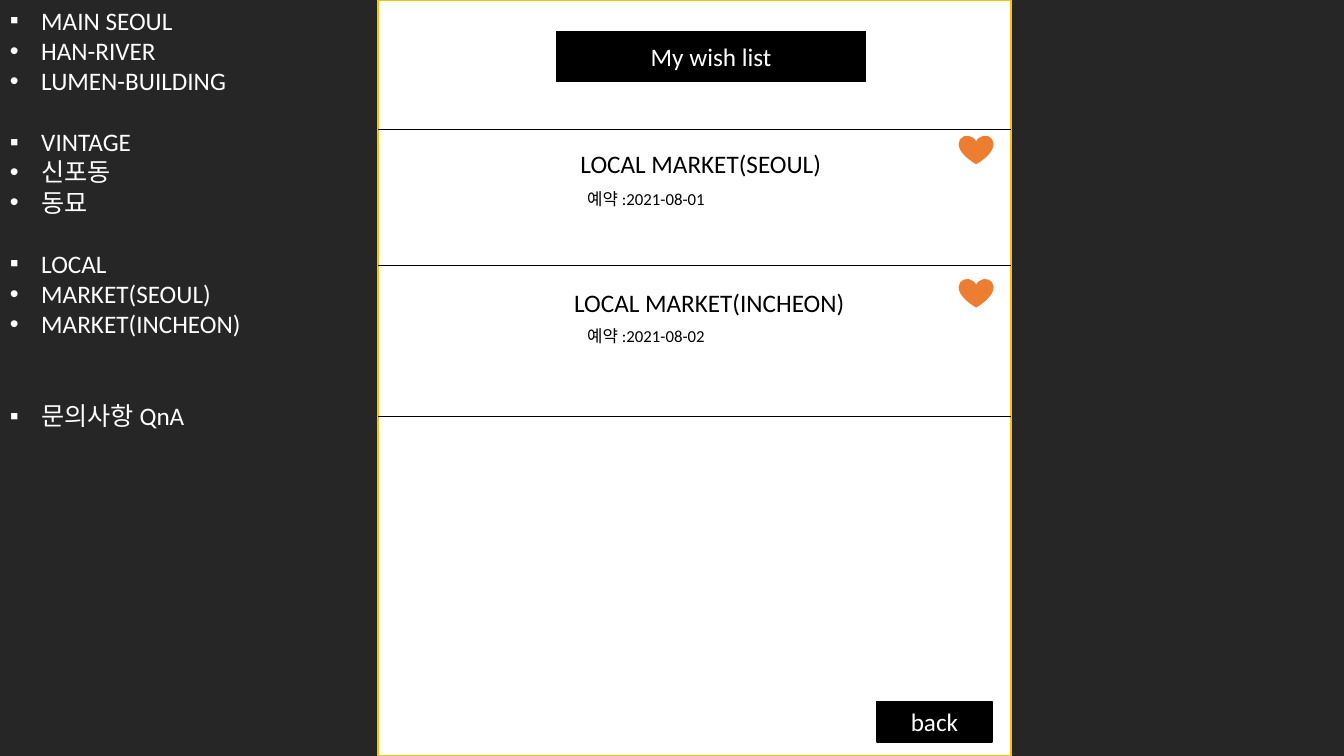
import pptx
import pptx.util
import pptx.dml.color
import pptx.enum.shapes
import pptx.enum.text
from lxml import etree
from pptx.util import Cm
from pptx.dml.color import RGBColor
from pptx.oxml.ns import qn

DARK = RGBColor(0x26, 0x26, 0x26)
WHITE = RGBColor(0xFF, 0xFF, 0xFF)
BLACK = RGBColor(0x00, 0x00, 0x00)
GOLD = RGBColor(0xFF, 0xC0, 0x00)
ORANGE = RGBColor(0xED, 0x7D, 0x31)

PANEL_LEFT, PANEL_WIDTH, PANEL_HEIGHT = 9.53, 15.95, 19.05
INDENT = Cm(0.79)

# Each menu group: gap above in points, heading, entries
MENU = [
    (0, "MAIN SEOUL", ["HAN-RIVER", "LUMEN-BUILDING"]),
    (22, "VINTAGE", ["신포동", "동묘"]),
    (22, "LOCAL", ["MARKET(SEOUL)", "MARKET(INCHEON)"]),
    (44, "문의사항 QnA", []),
]

# Each wish: name, name left, name top, date, date top, heart top
WISHES = [
    ("LOCAL MARKET(SEOUL)", 14.38, 3.61, "예약 :2021-08-01", 4.62, 3.43),
    ("LOCAL MARKET(INCHEON)", 14.22, 7.11, "예약 :2021-08-02", 8.08, 7.04),
]
DIVIDERS = [3.25, 6.68, 10.49]


def format_font(font, color, size=18):
    values = {"name": "Calibri", "size": pptx.util.Pt(size), "bold": False}
    for key, value in values.items():
        setattr(font, key, value)
    font.color.rgb = color


def paint(sp, fill, line):
    sp.fill.solid()
    sp.fill.fore_color.rgb = fill
    sp.line.color.rgb = line
    sp.line.width = pptx.util.Pt(1)


def add_shape(s, kind, box, fill, line):
    sp = s.shapes.add_shape(kind, *map(Cm, box))
    sp.shadow.inherit = False
    paint(sp, fill, line)
    return sp


def label_button(sp, text):
    tf = sp.text_frame
    tf.text = text
    tf.auto_size = pptx.enum.text.MSO_AUTO_SIZE.NONE
    tf.vertical_anchor = pptx.enum.text.MSO_ANCHOR.MIDDLE
    p = tf.paragraphs[0]
    p.alignment = pptx.enum.text.PP_ALIGN.CENTER
    format_font(p.runs[0].font, WHITE)


def add_text_box(s, *box):
    tf = s.shapes.add_textbox(*map(Cm, box)).text_frame
    tf.word_wrap = True
    tf.auto_size = pptx.enum.text.MSO_AUTO_SIZE.SHAPE_TO_FIT_TEXT
    return tf


def add_label(s, text, size, *box):
    r = add_text_box(s, *box).paragraphs[0].add_run()
    r.text = text
    format_font(r.font, BLACK, size)


def add_bullet(p, char, text, gap=0):
    pPr = p._p.get_or_add_pPr()
    pPr.set("marL", str(INDENT))
    pPr.set("indent", str(-INDENT))
    etree.SubElement(pPr, qn("a:buFont")).set("typeface", "Arial")
    etree.SubElement(pPr, qn("a:buChar")).set("char", char)
    if gap:
        p.space_before = pptx.util.Pt(gap)
    r = p.add_run()
    r.text = text
    format_font(r.font, WHITE)


def add_menu(s):
    tf = add_text_box(s, 0, 0, 6.71, 11.02)
    for i, (gap, heading, entries) in enumerate(MENU):
        p = tf.add_paragraph() if i else tf.paragraphs[0]
        add_bullet(p, "▪", heading, gap)
        for entry in entries:
            add_bullet(tf.add_paragraph(), "•", entry)


def add_divider(s, top):
    line = s.shapes.add_connector(
        pptx.enum.shapes.MSO_CONNECTOR.STRAIGHT,
        Cm(PANEL_LEFT), Cm(top), Cm(PANEL_LEFT + PANEL_WIDTH), Cm(top))
    line.line.color.rgb = BLACK
    line.line.width = pptx.util.Pt(0.5)
    etree.SubElement(line._element.spPr, qn("a:effectLst"))


def add_title(s, text):
    sp = s.shapes.title
    box = {"left": 14.02, "top": 0.79, "width": 7.8, "height": 1.27}
    for key, value in box.items():
        setattr(sp, key, Cm(value))
    paint(sp, BLACK, BLACK)
    label_button(sp, text)
    # Bring the title in front of the panel
    s.shapes._spTree.append(sp._element)


def main():
    prs = pptx.Presentation()
    prs.slide_width, prs.slide_height = Cm(33.87), Cm(19.05)
    s = prs.slides.add_slide(prs.slide_layouts[5])
    s.background.fill.solid()
    s.background.fill.fore_color.rgb = DARK
    shapes = pptx.enum.shapes.MSO_SHAPE

    # Panel with title and back button
    add_shape(s, shapes.RECTANGLE,
              (PANEL_LEFT, 0, PANEL_WIDTH, PANEL_HEIGHT), WHITE, GOLD)
    back = add_shape(s, shapes.RECTANGLE, (22.1, 17.68, 2.9, 1.02), BLACK, BLACK)
    label_button(back, "back")
    add_title(s, "My wish list")

    # Side menu
    add_menu(s)

    # Wish list rows
    for top in DIVIDERS:
        add_divider(s, top)
    for name, left, top, date, date_top, heart_top in WISHES:
        add_shape(s, shapes.HEART, (24.18, heart_top, 0.84, 0.69), ORANGE, ORANGE)
        add_label(s, name, 18, left, top, 8.81, 1.02)
        add_label(s, date, 12, 14.55, date_top, 7.54, 0.76)

    prs.save("out.pptx")


if __name__ == "__main__":
    main()
